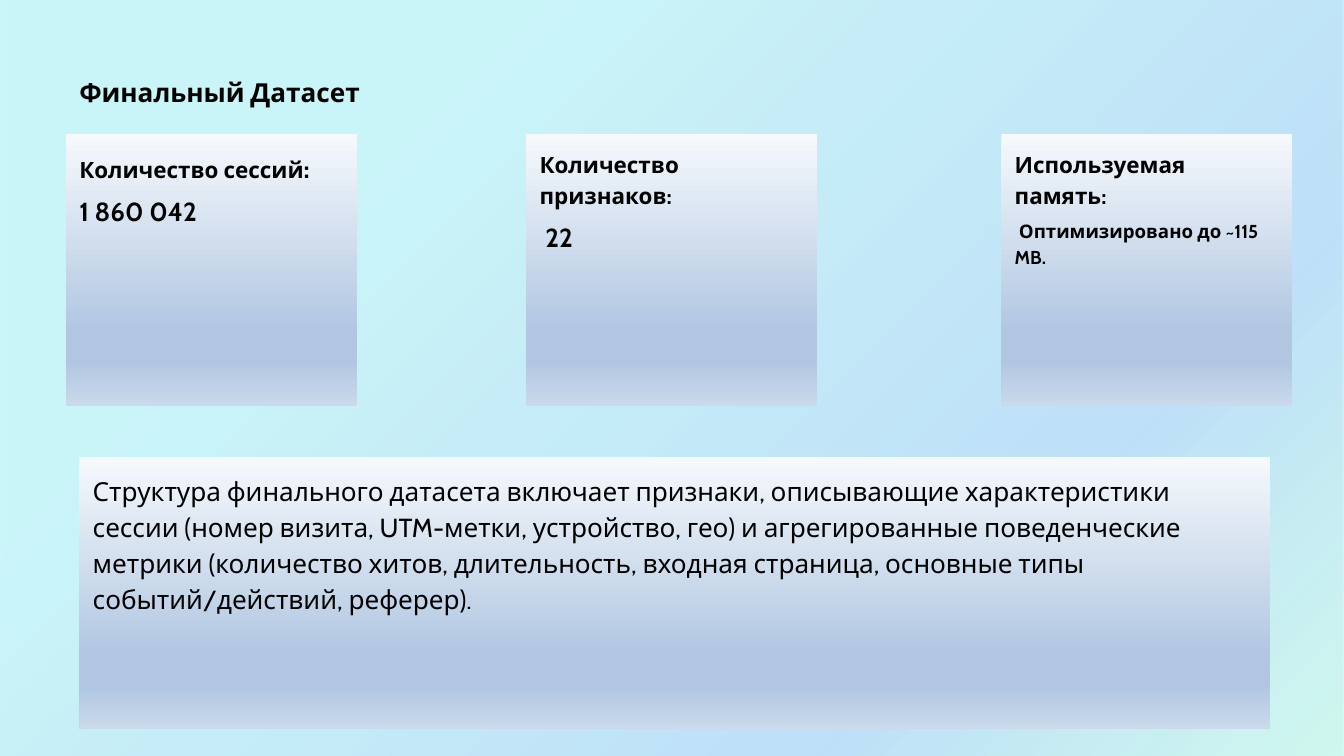
from dataclasses import dataclass

from lxml import etree
from pptx import Presentation
from pptx.dml.color import RGBColor
from pptx.enum.shapes import MSO_SHAPE
from pptx.enum.text import MSO_ANCHOR, MSO_AUTO_SIZE, PP_ALIGN
from pptx.oxml.ns import qn
from pptx.util import Inches, Pt

RECTANGLE = MSO_SHAPE.RECTANGLE
TOP = MSO_ANCHOR.TOP
NO_AUTOFIT = MSO_AUTO_SIZE.NONE
LEFT = PP_ALIGN.LEFT
TITLE_AND_CONTENT = 1


@dataclass(frozen=True)
class Theme:
    font: str = "Cabin"
    text: str = "000000"
    large: int = 28
    medium: int = 24
    small: int = 20
    inset: float = 0.2
    line_spacing: float = 1.15
    space_after: int = 8
    # Gradient stops: position, colour, opacity (all but colour in percent)
    backdrop: tuple = (
        (25, "21D6E0", 23), (75, "0087E6", 25),
        (100, "03D4A8", 18), (100, "005CBF", 26),
    )
    panel: tuple = (
        (0, "F6F9FC", 100), (74, "B0C6E1", 100),
        (83, "B0C6E1", 100), (100, "CAD9EB", 100),
    )


class SlideBuilder:
    """Places elements by left, top, width and height in percent of the slide."""

    def __init__(self, presentation, theme):
        self.theme = theme
        self.width = presentation.slide_width
        self.height = presentation.slide_height
        layout = presentation.slide_layouts[TITLE_AND_CONTENT]
        self.slide = presentation.slides.add_slide(layout)

    def box(self, left, top, width, height):
        return (
            round(self.width * left / 100), round(self.height * top / 100),
            round(self.width * width / 100), round(self.height * height / 100),
        )

    def place(self, shape, box):
        shape.left, shape.top, shape.width, shape.height = self.box(*box)

    def fill_gradient(self, shape, stops, angle):
        """Fill with any number of stops, at a clockwise angle in degrees."""
        shape.fill.gradient()
        gradient = shape._element.spPr.find(qn("a:gradFill"))
        for child in list(gradient):
            gradient.remove(child)
        stop_list = etree.SubElement(gradient, qn("a:gsLst"))
        for position, color, opacity in stops:
            stop = etree.SubElement(stop_list, qn("a:gs"), pos=str(position * 1000))
            rgb = etree.SubElement(stop, qn("a:srgbClr"), val=color)
            if opacity < 100:
                etree.SubElement(rgb, qn("a:alpha"), val=str(opacity * 1000))
        etree.SubElement(gradient, qn("a:lin"), ang=str(angle * 60000), scaled="0")

    def rectangle(self, box, stops, angle):
        shape = self.slide.shapes.add_shape(RECTANGLE, *self.box(*box))
        shape.shadow.inherit = False
        shape.line.fill.background()
        self.fill_gradient(shape, stops, angle)
        return shape

    def frame(self, shape):
        frame = shape.text_frame
        frame.word_wrap = True
        frame.auto_size = NO_AUTOFIT
        frame.vertical_anchor = TOP
        inset = Inches(self.theme.inset)
        frame.margin_left = frame.margin_right = inset
        frame.margin_top = frame.margin_bottom = inset
        return frame

    def format(self, paragraph, size, bold, line_spacing, space_after=0):
        paragraph.alignment = LEFT
        paragraph.line_spacing = line_spacing
        paragraph.space_before = Pt(0)
        paragraph.space_after = Pt(space_after)
        font = paragraph.font
        font.name = self.theme.font
        font.size = Pt(size)
        font.bold = bold
        font.color.rgb = RGBColor.from_string(self.theme.text)

    def backdrop(self):
        shape = self.rectangle((0, 0, 100, 100), self.theme.backdrop, 45)
        self.slide.shapes._spTree.insert(2, shape._element)

    def title(self, box, text):
        shape = self.slide.shapes.title
        self.place(shape, box)
        paragraph = self.frame(shape).paragraphs[0]
        paragraph.text = text
        self.format(paragraph, self.theme.large, True, 1.0)

    def card(self, box, lines):
        """Each line is a list of (text, size) runs."""
        frame = self.frame(self.rectangle(box, self.theme.panel, 90))
        for index, runs in enumerate(lines):
            paragraph = frame.add_paragraph() if index else frame.paragraphs[0]
            self.format(paragraph, runs[0][1], True,
                        self.theme.line_spacing, self.theme.space_after)
            for text, size in runs:
                run = paragraph.add_run()
                run.text = text
                run.font.size = Pt(size)

    def body(self, box, text):
        shape = self.slide.placeholders[1]
        self.place(shape, box)
        self.fill_gradient(shape, self.theme.panel, 90)
        paragraph = self.frame(shape).paragraphs[0]
        paragraph.text = text
        self.format(paragraph, self.theme.large, False, self.theme.line_spacing)
        properties = paragraph._p.get_or_add_pPr()
        properties.set("marL", "0")
        properties.set("indent", "0")
        etree.SubElement(properties, qn("a:buNone"))


def main():
    presentation = Presentation()
    presentation.slide_width = Inches(20)
    presentation.slide_height = Inches(11.25)
    theme = Theme()
    builder = SlideBuilder(presentation, theme)

    builder.backdrop()
    builder.title((4.9, 8.27, 63, 7.73), "Финальный Датасет")

    cards = (
        (4.9, [[("Количество сессий", theme.medium), (":", theme.large)],
               [("1 860 042", theme.large)]]),
        (39.15, [[("Количество признаков:", theme.medium)],
                 [(" 22", theme.large)]]),
        (74.5, [[("Используемая память:", theme.medium)],
                [(" Оптимизировано до ~115 MB.", theme.small)]]),
    )
    for left, lines in cards:
        builder.card((left, 17.7, 21.65, 36), lines)

    builder.body(
        (5.9, 60.44, 88.6, 36),
        "Структура финального датасета включает признаки, описывающие "
        "характеристики сессии (номер визита, UTM-метки, устройство, гео) "
        "и агрегированные поведенческие метрики (количество хитов, "
        "длительность, входная страница, основные типы событий/действий, "
        "реферер).",
    )
    presentation.save("out.pptx")


if __name__ == "__main__":
    main()
